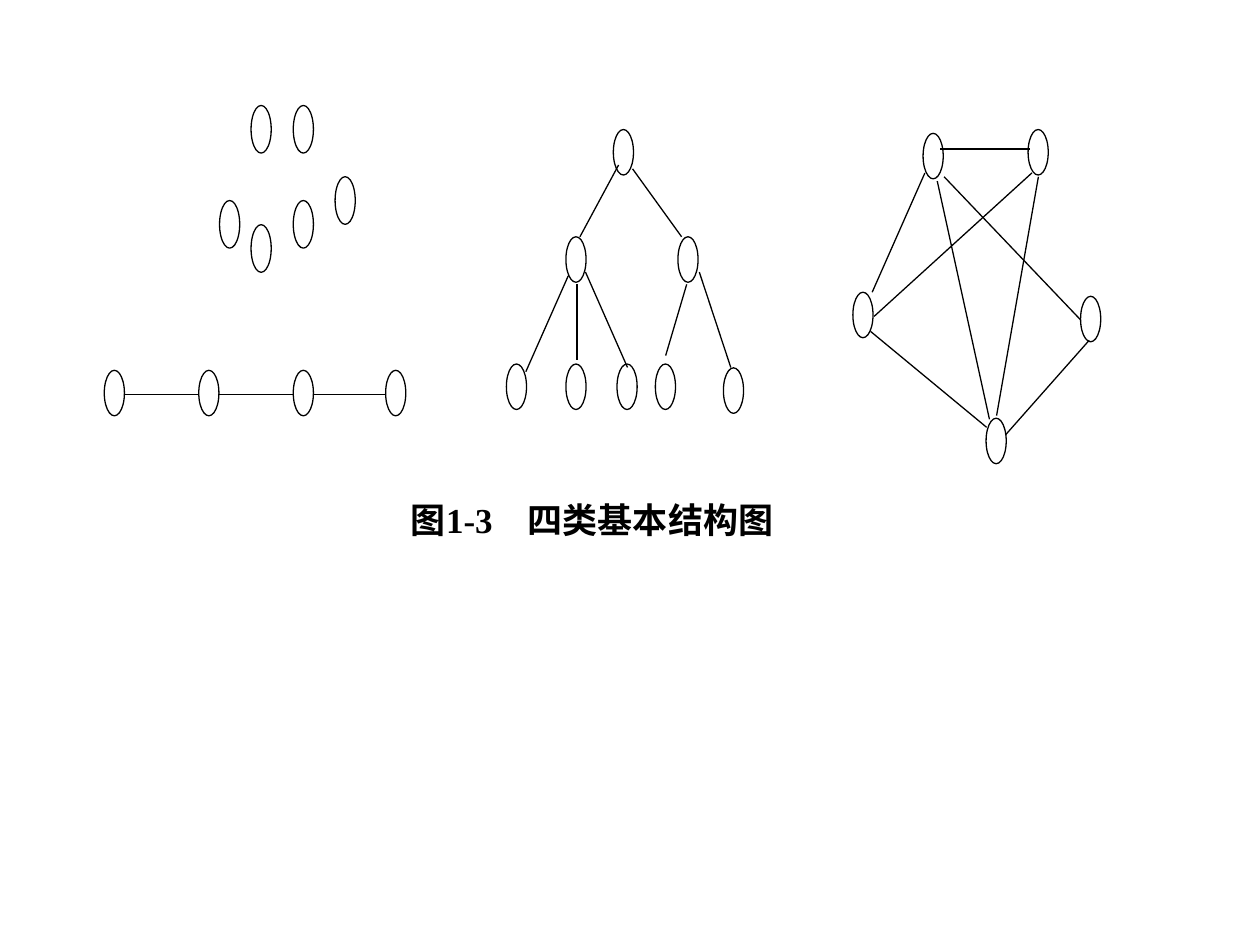
from pptx import Presentation
from pptx.dml.color import RGBColor
from pptx.enum.shapes import MSO_CONNECTOR as Link, MSO_SHAPE as Preset
from pptx.enum.text import MSO_ANCHOR as Anchor, PP_ALIGN as Align
from pptx.oxml.ns import qn
from pptx.util import Pt
from lxml.etree import SubElement

COLORS = {"ink": "000000", "paper": "FFFFFF"}
INK = RGBColor.from_string(COLORS["ink"])
CJK, LATIN = "Noto Sans CJK SC", "Times New Roman"
NODE_WIDTH = 11.5

deck = Presentation()
deck.slide_width, deck.slide_height = Pt(720), Pt(540)
page = deck.slides.add_slide(deck.slide_layouts[6])
page.background.fill.solid()
page.background.fill.fore_color.rgb = RGBColor.from_string(COLORS["paper"])


def add_node(group, left, top, height):
    node = group.shapes.add_shape(Preset.FLOWCHART_CONNECTOR, Pt(left), Pt(top),
                                  Pt(NODE_WIDTH), Pt(height))
    node.shadow.inherit = False
    node.fill.background()
    node.line.color.rgb = INK
    node.line.width = Pt(0.75)


def add_edge(group, x1, y1, x2, y2):
    edge = group.shapes.add_connector(Link.STRAIGHT, Pt(x1), Pt(y1), Pt(x2), Pt(y2))
    edge.line.color.rgb = INK
    edge.line.width = Pt(0.75)
    SubElement(edge._element.spPr, qn("a:effectLst"))


# Caption; the wide gap is one letter-spaced blank
box = page.shapes.add_textbox(Pt(212.4), Pt(281.5), Pt(252), Pt(30.2))
frame = box.text_frame
frame.word_wrap = True
frame.vertical_anchor = Anchor.MIDDLE
para = frame.paragraphs[0]
para.alignment = Align.CENTER
for text, font, spacing in [("图", CJK, 0), ("1-3", LATIN, 0), (" ", LATIN, 15),
                            ("四类基本结构图", CJK, 0)]:
    span = para.add_run()
    span.text = text
    for name, value in {"size": Pt(20), "bold": True, "name": font}.items():
        setattr(span.font, name, value)
    span.font.color.rgb = INK
    properties = span._r.get_or_add_rPr()
    SubElement(properties, qn("a:ea")).set("typeface", font)
    if spacing:
        properties.set("spc", str(spacing * 100))

# Linear structure: each edge spans the gap between neighbours
chain_lefts = [59.6, 113.6, 167.6, 220.4]
chain_top = 211.6
chain_nodes = [(left, chain_top) for left in chain_lefts]
chain_edges = [(left + NODE_WIDTH, 225.3, following, 225.3)
               for left, following in zip(chain_lefts, chain_lefts[1:])]

# Tree structure
leaf_top, branch_top = 208, 135.3
tree_nodes = [(350.5, 74), (323.4, branch_top), (387.4, branch_top),
              (289.4, leaf_top), (323.4, leaf_top), (352.6, leaf_top),
              (374.5, leaf_top), (413.4, 210.2)]
tree_edges = [(353.5, 94.3, 331.4, 135.3), (361.5, 96.5, 389.5, 135.3),
              (324.7, 157.7, 300.5, 212.4), (329.7, 162.5, 329.7, 206),
              (334.6, 155.5, 358.6, 210), (392.4, 162.5, 380.4, 203.2),
              (399.6, 155.5, 417.6, 210)]

# Graph structure
graph_nodes = [(527.5, 76.2), (487.4, 167), (587.5, 74), (563.5, 239), (617.5, 169.3)]
graph_edges = [(537.4, 85.2, 588.4, 85.2), (497.5, 189.4, 563.8, 244.2),
               (528.5, 98.9, 498.4, 167), (593.4, 101, 569.5, 237.5),
               (539.5, 101, 617.6, 182.9), (622.4, 194.5, 574.8, 248.3),
               (499.5, 180.8, 589.7, 98.8), (535.6, 103.5, 565.4, 239.6)]

# Set structure: nodes without edges
set_nodes = [(125.5, 114.6), (143.5, 60.3), (143.5, 128.4), (167.6, 60.3),
             (191.5, 101), (167.6, 114.6)]

for nodes, edges, height in [(chain_nodes, chain_edges, 26), (tree_nodes, tree_edges, 26),
                             (graph_nodes, graph_edges, 26), (set_nodes, [], 27.2)]:
    group = page.shapes.add_group_shape()
    for left, top in nodes:
        add_node(group, left, top, height)
    for ends in edges:
        add_edge(group, *ends)

deck.save("out.pptx")
